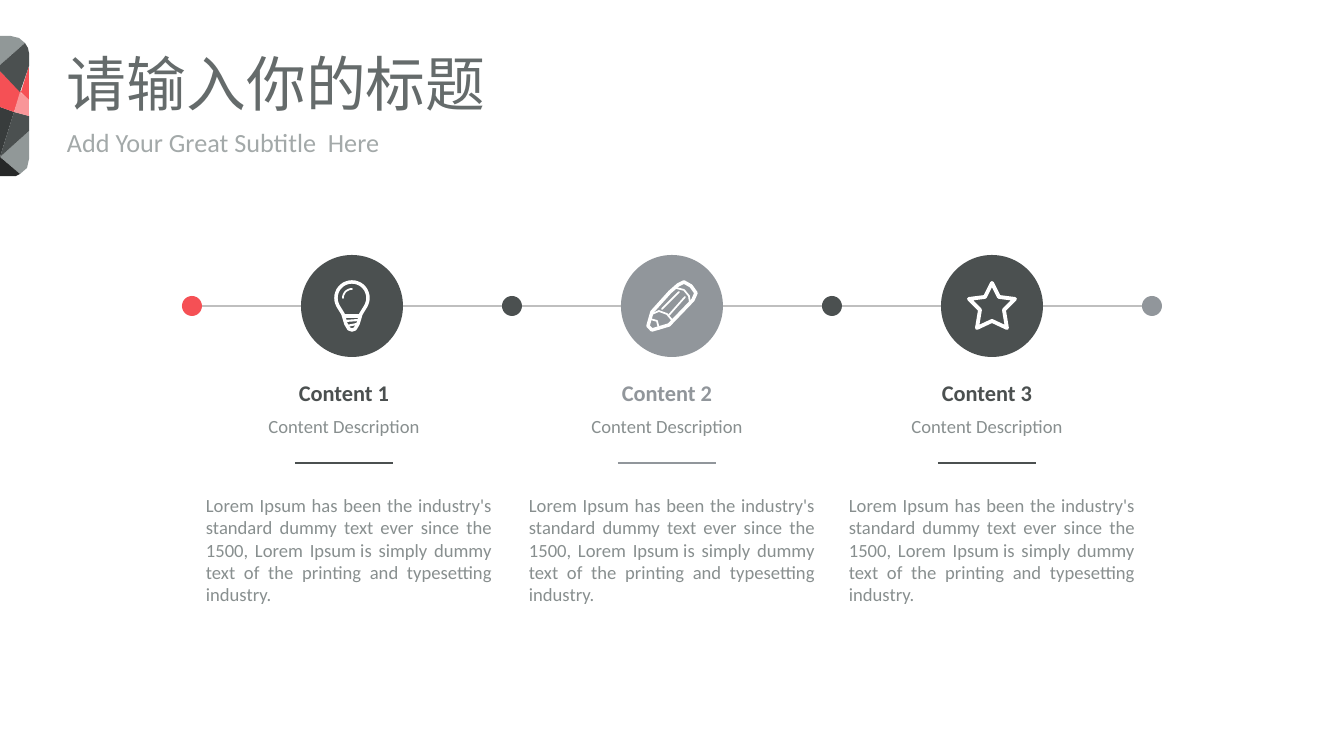
import math
from lxml import etree
from pptx import Presentation
from pptx import util as u
from pptx.dml.color import RGBColor
from pptx.enum import shapes, text
from pptx.oxml import ns

SCALE = 914400 / 100.8
FINE = 10
DARK, GRAY, RED, WHITE = "4B5050", "91969B", "F55055", "FFFFFF"
AXIS_Y = 306


def color(value):
    return RGBColor.from_string(value)


def px(*values):
    return [u.Emu(round(value * SCALE)) for value in values]


deck = Presentation()
deck.slide_width, deck.slide_height = px(1344, 756)
page = deck.slides.add_slide(deck.slide_layouts[5])

title = page.shapes.title
title.left, title.top, title.width, title.height = px(67, 57, 706, 60)
subtitle = page.shapes.add_textbox(*px(67, 132, 430, 25))
labels = [
    (title, "请输入你的标题", 42.7, "656B6B", False, text.PP_ALIGN.LEFT),
    (subtitle, "Add Your Great Subtitle  Here", 18.7, "A3A9A9", False, text.PP_ALIGN.LEFT),
]

accent = [
    ("919898", [(29, 131), (0, 157), (20, 174), (27, 168), (29, 159)]),
    ("383C3C", [(14, 112), (0, 107), (0, 157)]),
    (DARK, [(14, 112), (0, 157), (29, 131), (29, 116)]),
    ("262828", [(20, 174), (0, 157), (0, 176), (11, 176), (16, 176)]),
    ("919898", [(0, 65), (25, 43), (19, 38), (11, 36), (0, 36)]),
    (RED, [(29, 66), (21, 92), (29, 100)]),
    (RED, [(14, 112), (21, 92), (0, 71), (0, 107)]),
    (DARK, [(0, 71), (20, 92), (29, 66), (29, 53), (28, 48), (25, 43), (0, 65)]),
    ("F99699", [(29, 100), (20, 92), (14, 112), (29, 116)]),
]
for fill, points in accent:
    builder = page.shapes.build_freeform(*points[0], scale=SCALE)
    builder.add_line_segments(points[1:])
    facet = builder.convert_to_shape()
    facet.shadow.inherit = False
    facet.fill.solid()
    facet.fill.fore_color.rgb = color(fill)
    facet.line.fill.background()

ellipses = [(192, 20, RED), (512, 20, DARK), (832, 20, DARK), (1152, 20, GRAY),
            (352, 102, DARK), (672, 102, GRAY), (992, 102, DARK)]
for center, size, fill in ellipses:
    circle = page.shapes.add_shape(
        shapes.MSO_SHAPE.OVAL, *px(center - size / 2, AXIS_Y - size / 2, size, size))
    circle.shadow.inherit = False
    circle.fill.solid()
    circle.fill.fore_color.rgb = color(fill)
    circle.line.fill.background()

rules = []
for center in (352, 672, 992):
    rules += [(center - 150, center - 51, AXIS_Y, "BFBFBF"),
              (center + 51, center + 150, AXIS_Y, "BFBFBF")]

body = ("Lorem Ipsum has been the industry's standard dummy text ever since the 1500, "
        "Lorem Ipsum\u00a0is simply dummy text of the printing and typesetting industry. ")
for number, (center, tone) in enumerate([(344, DARK), (667, GRAY), (987, DARK)], 1):
    rules.append((center - 49, center + 49, 463, tone))
    rows = [
        (center, 374, 142, 37, f"Content {number}", 16, tone, True, text.PP_ALIGN.CENTER),
        (center, 410, 208, 33, "Content Description", 13.3, "888F8F", False, text.PP_ALIGN.CENTER),
        (center + 5, 489, 306, 123, body, 13.3, "888F8F", False, text.PP_ALIGN.JUSTIFY),
    ]
    for middle, top, width, height, *style in rows:
        box = page.shapes.add_textbox(*px(middle - width / 2, top, width, height))
        labels.append((box, *style))

for start, end, y, tone in rules:
    rule = page.shapes.add_connector(shapes.MSO_CONNECTOR.STRAIGHT, *px(start, y, end, y))
    rule.line.color.rgb = color(tone)
    rule.line.width = u.Pt(1)
    etree.SubElement(rule._element.spPr, ns.qn("a:effectLst"))

for box, words, size, tone, bold, align in labels:
    frame = box.text_frame
    frame.word_wrap = True
    frame.auto_size = text.MSO_AUTO_SIZE.NONE
    para = frame.paragraphs[0]
    para.alignment = align
    if box in (title, subtitle):
        frame.vertical_anchor = text.MSO_ANCHOR.MIDDLE
        for side in ("left", "top", "right", "bottom"):
            setattr(frame, f"margin_{side}", 0)
        para.line_spacing = 0.9
        para.space_before = u.Pt(7.5)
    span = para.add_run()
    span.text = words
    for name, value in {"name": "Calibri", "size": u.Pt(size), "bold": bold}.items():
        setattr(span.font, name, value)
    span.font.color.rgb = color(tone)

bulb = [(16 * math.cos(math.radians(angle)), -8 + 16 * math.sin(math.radians(angle)))
        for angle in range(150, 391, 10)]
bulb += [(9, 8), (6, 18), (3, 23), (0, 24), (-3, 23), (-6, 18), (-9, 8)]
glint = [(9 * math.cos(math.radians(angle)), -8 + 9 * math.sin(math.radians(angle)))
         for angle in range(180, 271, 10)]
star = [(0, -23), (7, -9), (23, -7), (12, 4), (15, 22), (0, 15),
        (-15, 22), (-12, 4), (-23, -7), (-7, -9)]
pencil = [(-20, 6), (-2, -14), (6, -21), (12, -24), (19, -20), (24, -13),
          (21, -6), (-3, 19), (-20, 24), (-24, 20)]
strokes = [
    (352, 2.5, True, bulb),
    (352, 1.25, False, glint),
    (352, 2.25, False, [(-8, 10), (8, 10)]),
    (352, 1.5, False, [(-7, 15), (7, 14)]),
    (352, 1.5, False, [(-5, 20), (5, 18)]),
    (672, 2.5, True, pencil),
    (672, 1.25, False, [(4, -18), (12, -16), (17, -10), (18, -3)]),
    (672, 1.25, False, [(-20, 8), (-13, 5), (-5, 8), (0, 14), (-2, 19)]),
    (672, 1.25, False, [(-22, 13), (-15, 15), (-13, 23)]),
    (672, 1.25, False, [(-10, 3), (7, -14)]),
    (672, 1.25, False, [(-3, 9), (13, -9)]),
    (992, 2.75, True, star),
]
for center, weight, closed, points in strokes:
    fine = [(x * FINE, y * FINE) for x, y in points]
    builder = page.shapes.build_freeform(*fine[0], scale=SCALE / FINE)
    builder.add_line_segments(fine[1:], close=closed)
    stroke = builder.convert_to_shape(*px(center, AXIS_Y))
    stroke.shadow.inherit = False
    stroke.fill.background()
    stroke.line.color.rgb = color(WHITE)
    stroke.line.width = u.Pt(weight)
    outline = stroke.line._get_or_add_ln()
    outline.set("cap", "rnd")
    etree.SubElement(outline, ns.qn("a:round"))

deck.save("out.pptx")
